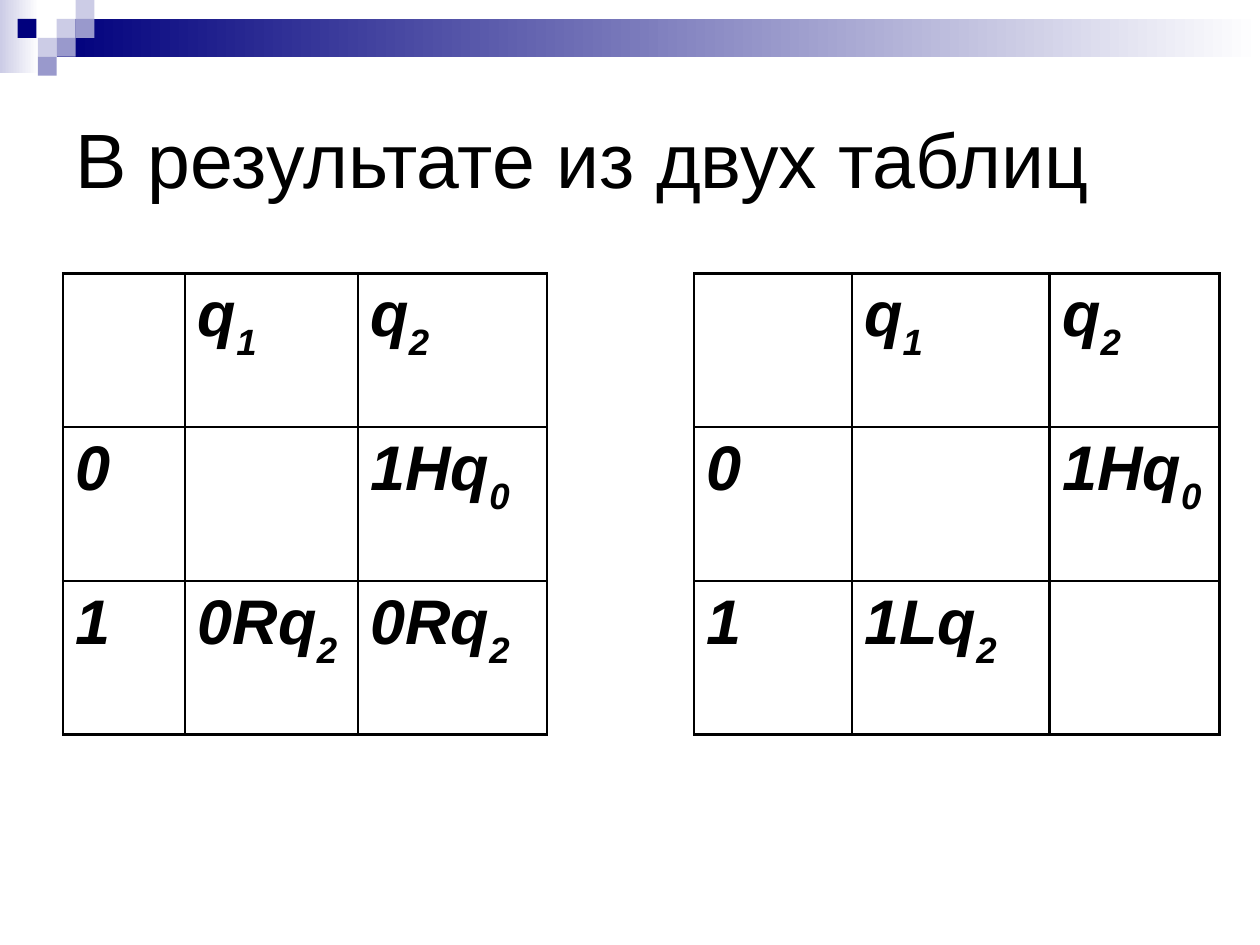
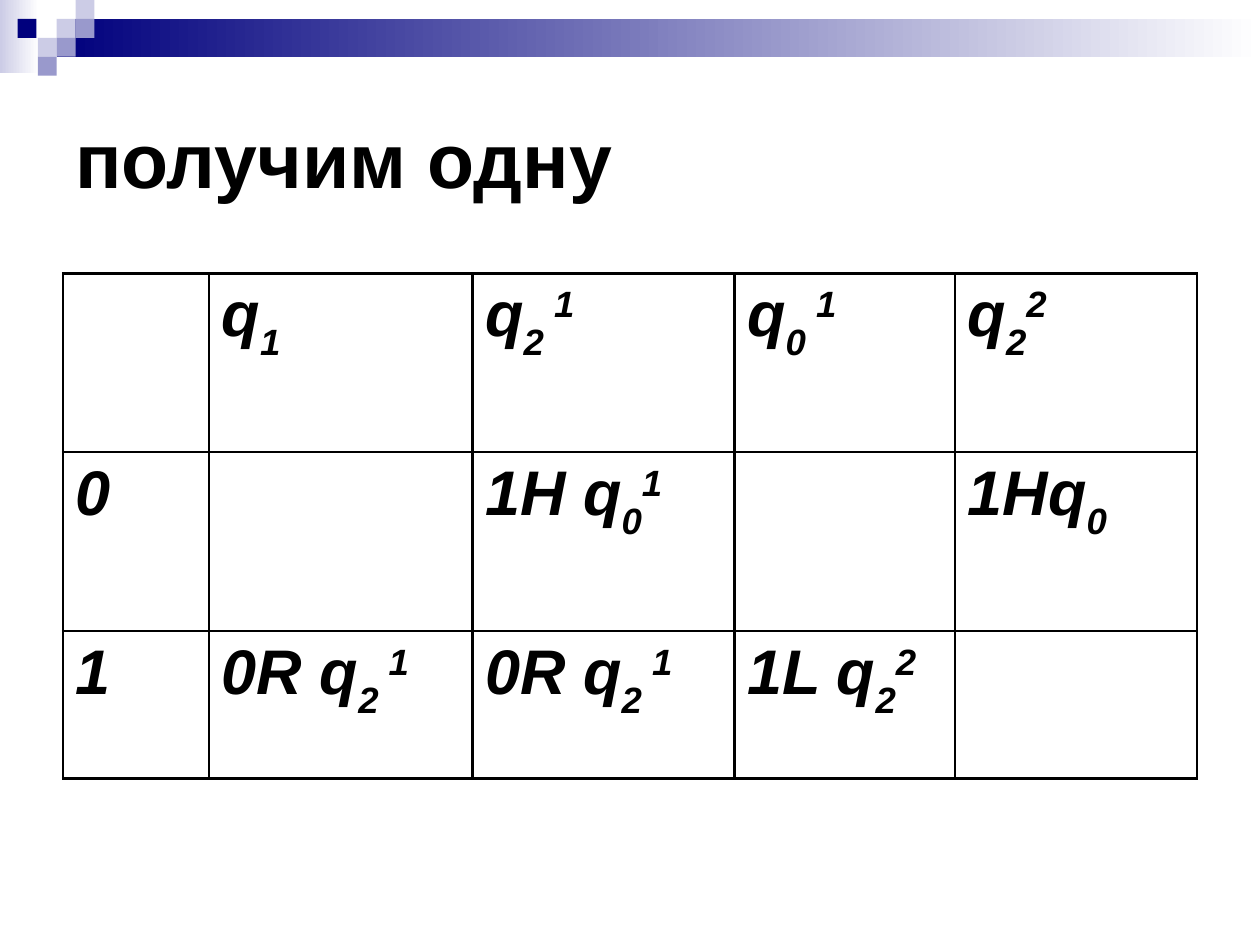
from pptx import Presentation, util as u
from pptx.dml.color import RGBColor
from pptx.enum import shapes, text
from pptx.oxml import ns
from lxml import etree

# Shared style
BLACK = RGBColor(0, 0, 0)
WHITE = RGBColor(255, 255, 255)
NAVY = RGBColor(0, 0, 0x7D)
LILAC = RGBColor(0xCC, 0xCC, 0xE6)
MAUVE = RGBColor(0x99, 0x99, 0xCC)
BASE = {"name": "Arial"}
TITLE = {**BASE, "size": u.Pt(44)}
STATE = {**BASE, "size": u.Pt(36), "bold": True, "italic": True}
LINE = 1.47

# Grid of 100 columns by 75 rows; the corner mosaic uses square tiles
COLS, ROWS = 100, 75
WIDE, HIGH = u.Inches(10), u.Inches(7.5)
TILE = 1.5
MOSAIC = [(3, 1, LILAC), (4, 0, LILAC), (4, 1, MAUVE), (2, 2, LILAC),
          (0.93, 1, NAVY), (3, 2, MAUVE), (2, 3, MAUVE)]
LEFT, TOP = 5, 21.7


class Deck:
    def __init__(self):
        self.prs = Presentation()
        self.prs.slide_width, self.prs.slide_height = WIDE, HIGH
        self.slide = None

    def across(self, cols):
        return int(WIDE * cols / COLS)

    def down(self, rows):
        return int(HIGH * rows / ROWS)

    def place(self, x, y, w, h):
        return self.across(x), self.down(y), self.across(w), self.down(h)

    def page(self, title, **extra):
        self.slide = self.prs.slides.add_slide(self.prs.slide_layouts[6])
        self.band()
        self.title(title, extra)

    def rect(self, x, y, w, h, color, fade=False):
        box = self.slide.shapes.add_shape(
            shapes.MSO_SHAPE.RECTANGLE, *self.place(x, y, w, h))
        box.shadow.inherit = False
        box.line.fill.background()
        if fade:
            box.fill.gradient()
            box.fill.gradient_angle = 180
            for stop, tone in zip(box.fill.gradient_stops, (WHITE, color)):
                stop.color.rgb = tone
        else:
            box.fill.solid()
            box.fill.fore_color.rgb = color

    def band(self):
        self.rect(0, 0, 3.1, 5.8, LILAC, fade=True)
        self.rect(3 * TILE, TILE, COLS - 3 * TILE, 2 * TILE, NAVY, fade=True)
        for col, row, color in MOSAIC:
            self.rect(col * TILE, row * TILE, TILE, TILE, color)

    def run(self, par, words, style, shift=0):
        run = par.add_run()
        run.text = words
        for key, val in style.items():
            setattr(run.font, key, val)
        run.font.color.rgb = BLACK
        if shift:
            run.font._element.set("baseline", str(shift * 1000))

    def title(self, words, extra):
        box = self.slide.shapes.add_textbox(*self.place(LEFT, 5, 90, 15))
        frame = box.text_frame
        frame.word_wrap = True
        frame.vertical_anchor = text.MSO_ANCHOR.MIDDLE
        self.run(frame.paragraphs[0], words, {**TITLE, **extra})

    def state(self, cell, mark):
        """Write a mark such as q_2^1, with its lower and upper index."""
        par = cell.text_frame.paragraphs[0]
        par.alignment = text.PP_ALIGN.JUSTIFY
        props = par._p.get_or_add_pPr()
        props.set("marL", str(u.Inches(0.38)))
        props.set("indent", str(-u.Inches(0.38)))
        main, _, rest = mark.partition("_")
        low, _, high = rest.partition("^")
        for part, shift in ((main, 0), (low, -30), (high, 30)):
            if part:
                self.run(par, part, STATE, shift)

    def edge(self, cell, sides):
        props = cell._tc.get_or_add_tcPr()
        for side in "LRTB":
            line = etree.SubElement(props, ns.qn("a:ln" + side),
                                    w=str(u.Pt(LINE)))
            if side in sides:
                fill = etree.SubElement(line, ns.qn("a:solidFill"))
                etree.SubElement(fill, ns.qn("a:srgbClr"), val=str(BLACK))
            else:
                etree.SubElement(line, ns.qn("a:noFill"))
        cell.fill.background()

    def table(self, cols, rows, marks, gap=None):
        spot = self.place(LEFT, TOP, sum(cols), sum(rows))
        grid = self.slide.shapes.add_table(len(rows), len(cols), *spot).table
        grid.first_row = grid.horz_banding = False
        for col, size in zip(grid.columns, cols):
            col.width = self.across(size)
        for row, size in zip(grid.rows, rows):
            row.height = self.down(size)
        for r, line in enumerate(marks):
            for c, mark in enumerate(line):
                cell = grid.cell(r, c)
                self.edge(cell, "LR" if c == gap else "LRTB")
                if mark:
                    self.state(cell, mark)


def main():
    deck = Deck()

    # Two machines side by side, parted by an open column
    deck.page("В результате из двух таблиц")
    deck.table([9.7, 13.7, 15, 11.7, 12.5, 15.7, 13.5], [12.2] * 3, [
        ["", "q_1", "q_2", "", "", "q_1", "q_2"],
        ["0", "", "1Hq_0", "", "0", "", "1Hq_0"],
        ["1", "0Rq_2", "0Rq_2", "", "1", "1Lq_2", ""],
    ], gap=3)

    # The joined machine
    deck.page("получим одну", bold=True)
    deck.table([11.6, 20.9, 20.8, 17.5, 19.2], [14.2, 14.2, 11.7], [
        ["", "q_1", "q_2 ^1", "q_0 ^1", "q_2^2"],
        ["0", "", "1H q_0^1", "", "1Hq_0"],
        ["1", "0R q_2 ^1", "0R q_2 ^1", "1L q_2^2", ""],
    ])

    deck.prs.save("out.pptx")


if __name__ == "__main__":
    main()
